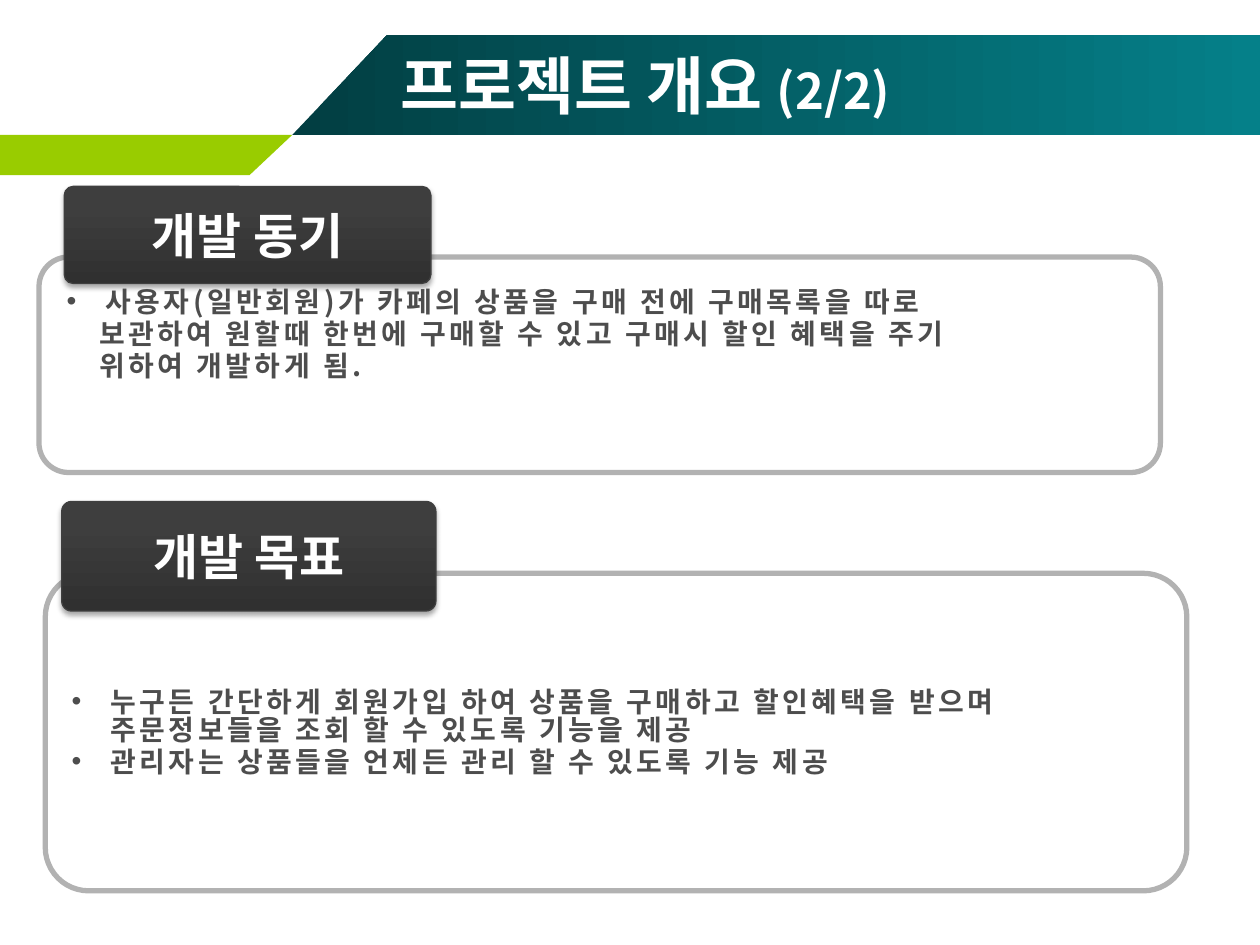
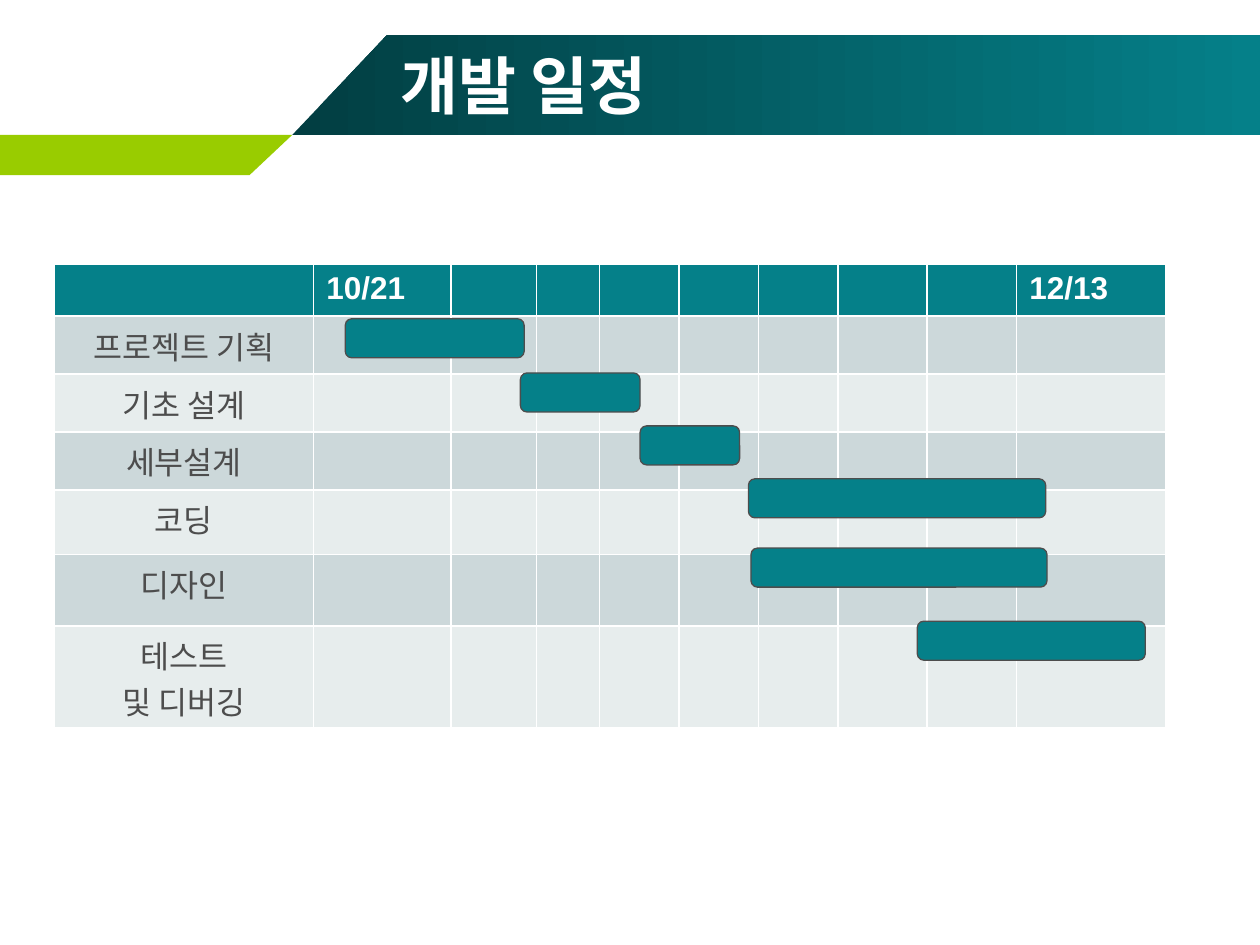
from dataclasses import dataclass
from itertools import pairwise

from lxml import etree
from pptx import Presentation
from pptx.dml.color import RGBColor
from pptx.enum.shapes import MSO_SHAPE as Shape
from pptx.enum.text import MSO_ANCHOR as Anchor, PP_ALIGN as Align
from pptx.oxml.ns import qn
from pptx.util import Inches, Pt

# Shared style
KOREAN, LATIN = "Noto Sans CJK KR", "Arial"
WHITE = RGBColor(0xFF, 0xFF, 0xFF)
TEAL = RGBColor(0x05, 0x80, 0x89)
DARK_TEAL = RGBColor(0x02, 0x3E, 0x42)
LIME = RGBColor(0x99, 0xCC, 0x00)
GREY_LINE = RGBColor(0xB2, 0xB2, 0xB2)
INK = RGBColor(0x4D, 0x4D, 0x4D)
LABEL_LOW = RGBColor(0x30, 0x30, 0x30)
LABEL_HIGH = RGBColor(0x3E, 0x3E, 0x3E)
ROW_FILLS = (RGBColor(0xCC, 0xD8, 0xDA), RGBColor(0xE7, 0xED, 0xED))


@dataclass(frozen=True)
class Box:
    left: float
    top: float
    width: float
    height: float

    def emu(self) -> tuple:
        return tuple(Inches(v) for v in (self.left, self.top, self.width, self.height))


@dataclass(frozen=True)
class Line:
    text: str
    bullet: bool = True
    indent: float = 0.31


@dataclass(frozen=True)
class Section:
    heading: str
    label: Box
    panel: Box
    body: Box
    lines: tuple


@dataclass(frozen=True)
class Task:
    name: str
    height: float
    bar: Box


SECTIONS = (
    Section("개발 목표", Box(0.49, 3.98, 2.97, 0.87), Box(0.36, 4.55, 9.06, 2.52),
            Box(0.47, 5.43, 8.82, 0.96), (
        Line("누구든 간단하게 회원가입 하여 상품을 구매하고 할인혜택을 받으며 "
             "주문정보들을 조회 할 수 있도록 기능을 제공"),
        Line("관리자는 상품들을 언제든 관리 할 수 있도록 기능 제공"))),
    Section("개발 동기", Box(0.51, 1.48, 2.91, 0.77), Box(0.31, 2.04, 8.9, 1.71),
            Box(0.43, 2.25, 8.66, 1.61), (
        Line("사용자(일반회원)가 카페의 상품을 구매 전에 구매목록을 따로"),
        Line("보관하여 원할때 한번에 구매할 수 있고 구매시 할인 혜택을 주기", False, 0.26),
        Line("위하여 개발하게 됨.", False, 0.26))),
)

BAR_H = 0.31
TASKS = (
    Task("프로젝트 기획", 0.46, Box(2.74, 2.53, 1.42, BAR_H)),
    Task("기초 설계", 0.46, Box(4.13, 2.96, 0.95, BAR_H)),
    Task("세부설계", 0.46, Box(5.08, 3.38, 0.79, BAR_H)),
    Task("코딩", 0.51, Box(5.94, 3.8, 2.36, BAR_H)),
    Task("디자인", 0.57, Box(5.96, 4.35, 2.35, BAR_H)),
    Task("테스트\n및 디버깅", 0.81, Box(7.28, 4.93, 1.81, BAR_H)),
)
COLUMNS = (2.06, 1.09, 0.68, 0.5, 0.63, 0.63, 0.63, 0.71, 0.71, 1.18)
DATES = {1: "10/21", 9: "12/13"}
HEADER_H = 0.41


def add_run(p, text: str, *, size: float, color: RGBColor, bold: bool = True,
            font: str = KOREAN, spacing: float = 0) -> None:
    r = p.add_run()
    r.text = text
    r.font.size, r.font.bold, r.font.name = Pt(size), bold, font
    r.font.color.rgb = color
    props = r.font._element
    etree.SubElement(props, qn("a:ea")).set("typeface", font)
    if spacing:
        props.set("spc", str(int(spacing * 100)))


def fill_gradient(sp, angle: float, *stops: tuple) -> None:
    sp.fill.gradient()
    sp.fill.gradient_angle = angle
    for stop, (position, color) in zip(sp.fill.gradient_stops, stops):
        stop.position, stop.color.rgb = position, color


def add_round_box(slide, box: Box, line: RGBColor, weight: float, corner: float = 0.167):
    sp = slide.shapes.add_shape(Shape.ROUNDED_RECTANGLE, *box.emu())
    sp.adjustments[0] = corner
    sp.line.color.rgb, sp.line.width = line, Pt(weight)
    sp.shadow.inherit = False
    return sp


def add_polygon(slide, points: tuple):
    start, *rest = [(Inches(x), Inches(y)) for x, y in points]
    builder = slide.shapes.build_freeform(*start)
    builder.add_line_segments(rest)
    sp = builder.convert_to_shape()
    sp.line.fill.background()
    sp.shadow.inherit = False
    return sp


def add_text_box(slide, box: Box):
    tf = slide.shapes.add_textbox(*box.emu()).text_frame
    tf.word_wrap = True
    return tf


def start_slide(prs, title: str, page: str = ""):
    """Add a blank slide with its teal title band and lime strip."""
    slide = prs.slides.add_slide(prs.slide_layouts[6])
    band = add_polygon(slide, ((2.32, 1.07), (10, 1.07), (10, 0.28), (3.07, 0.28)))
    fill_gradient(band, 0, (0, DARK_TEAL), (1, TEAL))
    strip = add_polygon(slide, ((0, 1.07), (2.32, 1.07), (1.98, 1.39), (0, 1.39)))
    strip.fill.solid()
    strip.fill.fore_color.rgb = LIME
    tf = add_text_box(slide, Box(3.08, 0.36, 6.67, 0.62))
    tf.vertical_anchor = Anchor.MIDDLE
    p = tf.paragraphs[0]
    add_run(p, title, size=36, color=WHITE)
    if page:
        add_run(p, page, size=28, color=WHITE)
    return slide


def add_label(slide, text: str, box: Box) -> None:
    sp = add_round_box(slide, box, RGBColor(0x3F, 0x3F, 0x3F), 0.75, 0.091)
    fill_gradient(sp, 90, (0, LABEL_LOW), (0.8, LABEL_HIGH))
    effects = sp._element.spPr.find(qn("a:effectLst"))
    shadow = etree.SubElement(effects, qn("a:outerShdw"), blurRad=str(Pt(3.1)),
                              dist=str(Pt(1.8)), dir="5400000", rotWithShape="0")
    color = etree.SubElement(shadow, qn("a:srgbClr"), val="000000")
    etree.SubElement(color, qn("a:alpha"), val="35000")
    tf = sp.text_frame
    tf.word_wrap, tf.vertical_anchor = False, Anchor.MIDDLE
    p = tf.paragraphs[0]
    p.alignment = Align.CENTER
    add_run(p, text, size=28, color=WHITE)


def add_section(slide, section: Section) -> None:
    # Rounded panel with a see-through white fill
    panel = add_round_box(slide, section.panel, GREY_LINE, 3, 0.137)
    panel.fill.solid()
    panel.fill.fore_color.rgb = WHITE
    color = panel._element.spPr.find(qn("a:solidFill"))[0]
    etree.SubElement(color, qn("a:alpha"), val="31000")
    add_label(slide, section.heading, section.label)

    # Body lines
    tf = add_text_box(slide, section.body)
    for i, line in enumerate(section.lines):
        p = tf.add_paragraph() if i else tf.paragraphs[0]
        p.line_spacing, p.space_after = 0.83, Pt(2.4)
        props = p._p.get_or_add_pPr()
        props.set("marL", str(Inches(line.indent)))
        if line.bullet:
            props.set("indent", str(-Inches(line.indent)))
            etree.SubElement(props, qn("a:buFont")).set("typeface", LATIN)
            etree.SubElement(props, qn("a:buChar")).set("char", "•")
        add_run(p, line.text, size=16, color=INK, spacing=2)


def add_schedule(slide) -> None:
    heights = (HEADER_H, *(task.height for task in TASKS))
    box = Box(0.43, 2.1, sum(COLUMNS), sum(heights))
    table = slide.shapes.add_table(len(heights), len(COLUMNS), *box.emu()).table
    for column, width in zip(table.columns, COLUMNS):
        column.width = Inches(width)
    for i, (row, height) in enumerate(zip(table.rows, heights)):
        row.height = Inches(height)
        for cell in row.cells:
            cell.fill.solid()
            cell.fill.fore_color.rgb = ROW_FILLS[(i - 1) % 2] if i else TEAL

    # Header dates and task names
    for column, date in DATES.items():
        add_run(table.cell(0, column).text_frame.paragraphs[0], date,
                size=18, color=WHITE, font=LATIN)
    for i, task in enumerate(TASKS, 1):
        tf = table.cell(i, 0).text_frame
        for j, text in enumerate(task.name.split("\n")):
            p = tf.add_paragraph() if j else tf.paragraphs[0]
            p.alignment = Align.CENTER
            add_run(p, text, size=18, color=INK, bold=False)

    # Schedule bars
    for task in TASKS:
        bar = add_round_box(slide, task.bar, INK, 0.75)
        bar.fill.solid()
        bar.fill.fore_color.rgb = TEAL


def main() -> None:
    prs = Presentation()
    prs.slide_width, prs.slide_height = Inches(10), Inches(7.5)

    overview = start_slide(prs, "프로젝트 개요 ", "(2/2)")
    for section in SECTIONS:
        add_section(overview, section)

    add_schedule(start_slide(prs, "개발 일정"))
    prs.save("out.pptx")


if __name__ == "__main__":
    main()
